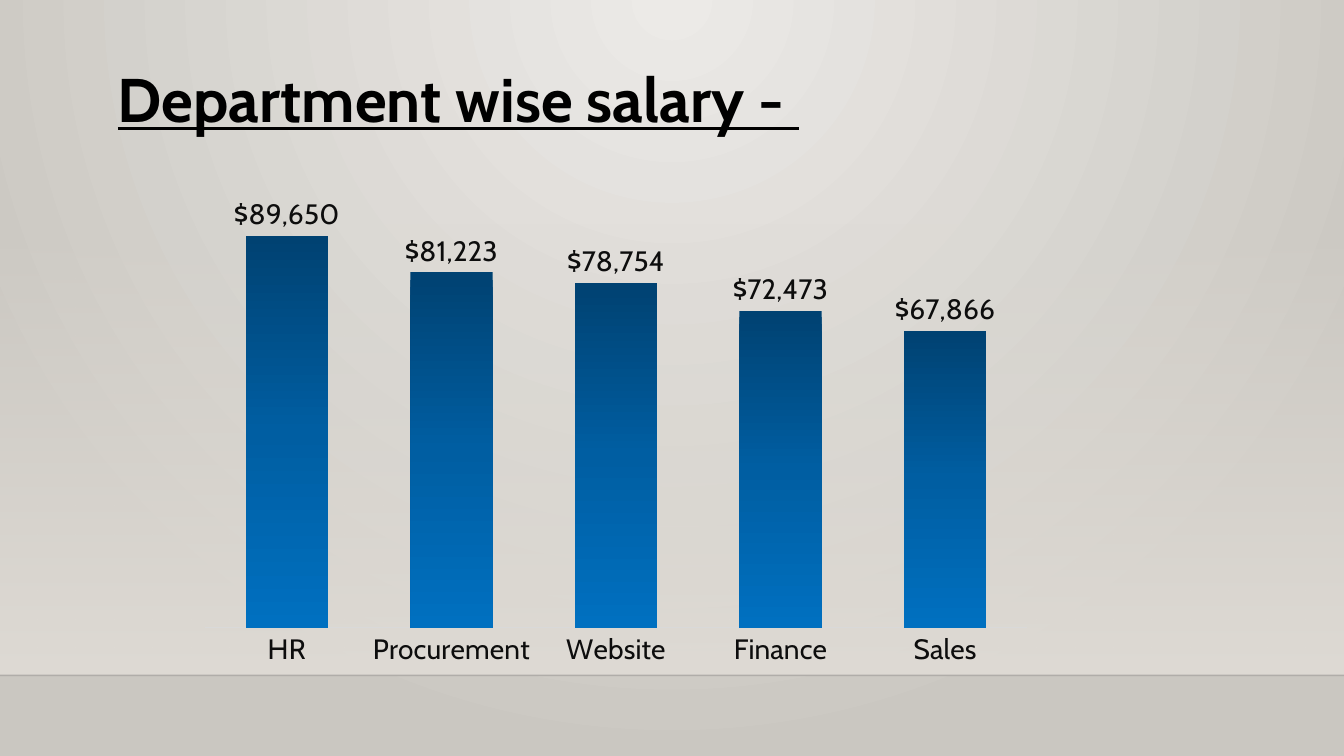
"""Build the department salary slide with a column chart."""
import pptx
import pptx.chart.data
import pptx.dml.color
import pptx.enum.chart
import pptx.enum.shapes
import pptx.enum.text
import pptx.oxml
import pptx.oxml.ns
import pptx.util
from lxml import etree

Inches, Pt, qn = pptx.util.Inches, pptx.util.Pt, pptx.oxml.ns.qn
kinds = pptx.enum.chart


def style(font, size, color, **marks):
    """Set the face, size, colour and marks of a font."""
    font.name, font.size = "Cabin", Pt(size)
    font.color.rgb = pptx.dml.color.RGBColor.from_string(color)
    for name, value in marks.items():
        setattr(font, name, value)


def blend(fill, host, stops, shade='<a:lin ang="5400000" scaled="0"/>'):
    """Fill with a gradient of (position, colour, opacity) stops."""
    fill.gradient()
    grad = next(host.iter(qn("a:gradFill")))
    marks = "".join(
        f'<a:gs pos="{pos * 1000}"><a:srgbClr val="{color}">'
        f'<a:alpha val="{alpha * 1000}"/></a:srgbClr></a:gs>'
        for pos, color, alpha in stops)
    fresh = pptx.oxml.parse_xml(
        f'<a:gradFill {pptx.oxml.ns.nsdecls("a")} rotWithShape="1">'
        f'<a:gsLst>{marks}</a:gsLst>{shade}</a:gradFill>')
    grad.getparent().replace(grad, fresh)


deck = pptx.Presentation()
deck.slide_width, deck.slide_height = Inches(13.33), Inches(7.5)
slide = deck.slides.add_slide(deck.slide_layouts[5])
shapes = slide.shapes

blend(slide.background.fill, slide.element,
      [(0, "ECEAE7", 100), (100, "CAC7C1", 100)],
      '<a:path path="circle"><a:fillToRect l="43000" t="0" r="43000" '
      'b="100000"/></a:path>')

wall = shapes.add_shape(pptx.enum.shapes.MSO_SHAPE.RECTANGLE,
                        0, Inches(2.21), Inches(13.33), Inches(4.49))
wall.shadow.inherit = False
wall.line.fill.background()
blend(wall.fill, wall.element, [(0, "DFDBD5", 0), (100, "DFDBD5", 100)])

edge = shapes.add_connector(pptx.enum.shapes.MSO_CONNECTOR.STRAIGHT,
                            0, Inches(6.7), Inches(13.33), Inches(6.7))
edge.line.width = Pt(1)
edge.line.color.rgb = pptx.dml.color.RGBColor.from_string("000001")
ink = next(edge.element.iter(qn("a:srgbClr")))
etree.SubElement(ink, qn("a:alpha")).set("val", "20000")
etree.SubElement(edge.element.spPr, qn("a:effectLst"))

title = shapes.title
title.left, title.top = Inches(1.07), Inches(0.55)
title.width, title.height = Inches(8.69), Inches(0.84)
frame = title.text_frame
frame.word_wrap = True
frame.auto_size = pptx.enum.text.MSO_AUTO_SIZE.SHAPE_TO_FIT_TEXT
frame.vertical_anchor = pptx.enum.text.MSO_ANCHOR.TOP
line = frame.paragraphs[0]
line.alignment = pptx.enum.text.PP_ALIGN.LEFT
run = line.add_run()
run.text = "Department wise salary - "
style(run.font, 44, "000000", bold=True, underline=True)
edge.element.addnext(title.element)

pay = {"HR": 89650, "Procurement": 81223, "Website": 78754,
       "Finance": 72473, "Sales": 67866}
data = pptx.chart.data.CategoryChartData()
data.categories = list(pay)
data.add_series("Series 1", list(pay.values()))
chart = shapes.add_chart(kinds.XL_CHART_TYPE.COLUMN_CLUSTERED,
                         Inches(1.86), Inches(1.79),
                         Inches(8.5), Inches(4.92), data).chart
style(chart.font, 10, "000000")
chart.has_legend = chart.has_title = False

base = chart.category_axis
base.major_tick_mark = kinds.XL_TICK_MARK.NONE
base.format.line.width = Pt(0.75)
base.format.line.color.rgb = pptx.dml.color.RGBColor.from_string("D9D9D9")
style(base.tick_labels.font, 20, "0D0D0D")

scale = chart.value_axis
scale.visible = scale.has_major_gridlines = False
scale.minimum_scale, scale.maximum_scale = 0, 100000

plot = chart.plots[0]
plot.gap_width, plot.overlap = 100, -27
plot.vary_by_categories = False
bars = plot.series[0]
blend(bars.format.fill, chart.element,
      [(0, "004272", 100), (50, "005EA2", 100), (100, "0070C0", 100)])
labels = bars.data_labels
labels.show_value = True
labels.position = kinds.XL_LABEL_POSITION.OUTSIDE_END
labels.number_format = "[$$-409]#,##0"
labels.number_format_is_linked = False
style(labels.font, 20, "0D0D0D")

deck.save("out.pptx")
